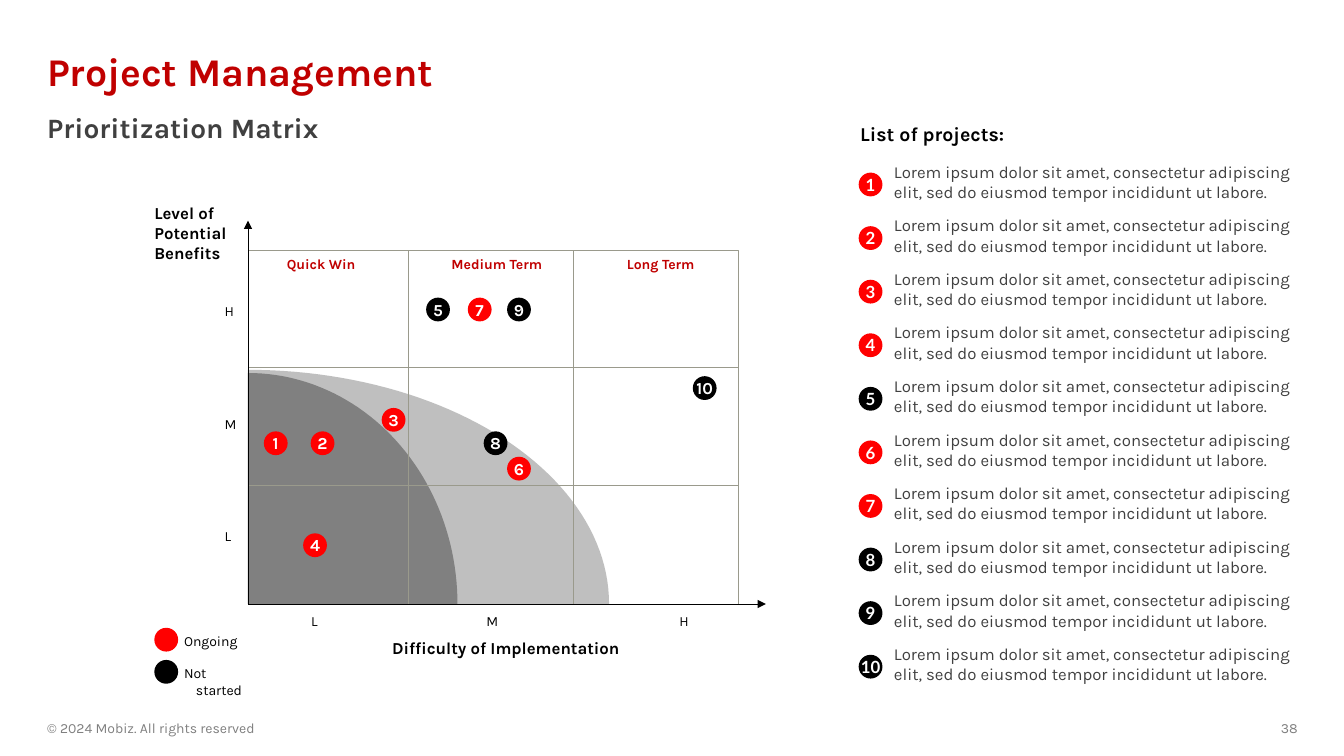
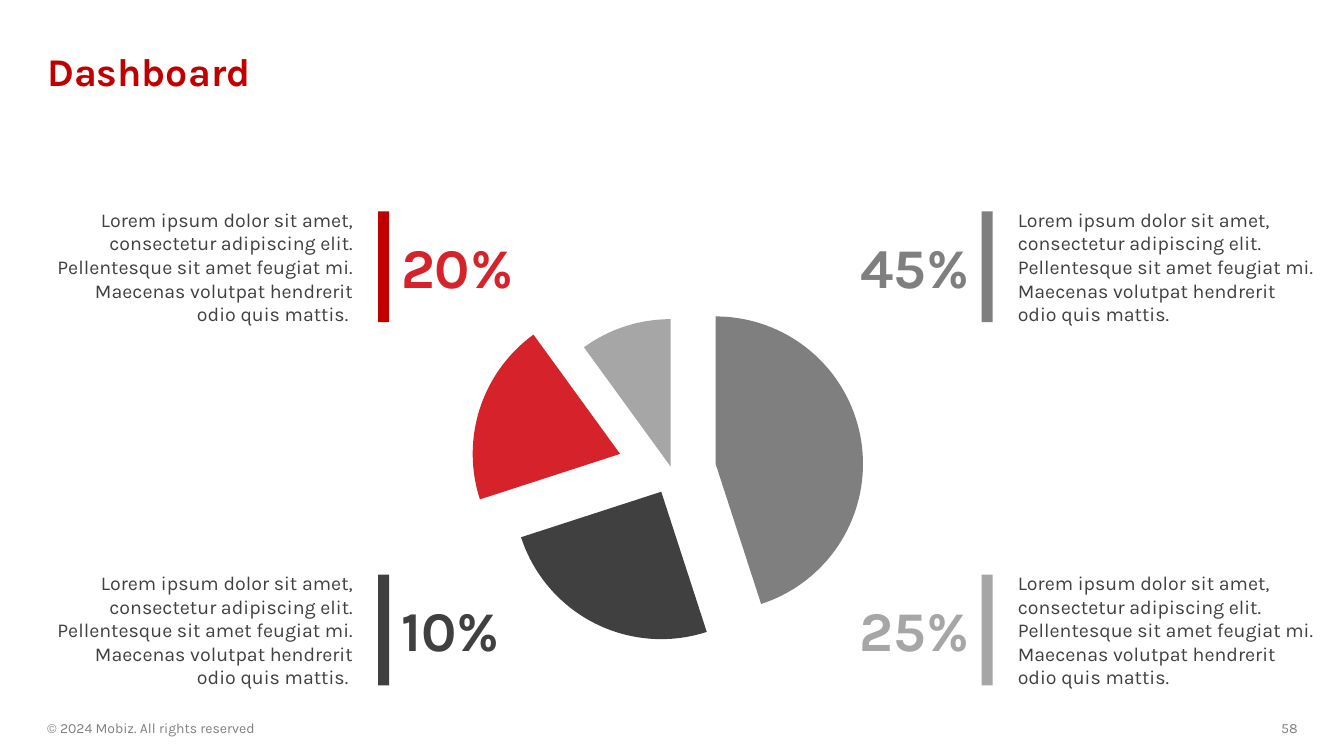
from math import cos, pi, sin

from lxml.etree import SubElement
from pptx import Presentation
from pptx.chart.data import CategoryChartData
from pptx.dml.color import RGBColor
from pptx.enum.chart import XL_CHART_TYPE
from pptx.enum.shapes import MSO_CONNECTOR, MSO_SHAPE
from pptx.enum.text import MSO_ANCHOR, PP_ALIGN
from pptx.oxml import parse_xml
from pptx.oxml.ns import nsdecls, qn
from pptx.util import Cm, Pt

CRIMSON = RGBColor(0xC0, 0x00, 0x00)
RED = RGBColor(0xFF, 0x00, 0x00)
ROSE = RGBColor(0xD6, 0x22, 0x2B)
BLACK = RGBColor(0x00, 0x00, 0x00)
WHITE = RGBColor(0xFF, 0xFF, 0xFF)
DARK = RGBColor(0x40, 0x40, 0x40)
MID = RGBColor(0x7F, 0x7F, 0x7F)
GRAY = RGBColor(0x80, 0x80, 0x80)
LIGHT = RGBColor(0xA6, 0xA6, 0xA6)
PALE = RGBColor(0xBF, 0xBF, 0xBF)
GRID = RGBColor(0x9A, 0x9A, 0x8C)

FONT = "Karla"
ALT = "Lato"
LEFT, RIGHT, CENTER = PP_ALIGN.LEFT, PP_ALIGN.RIGHT, PP_ALIGN.CENTER
TOP, MIDDLE = MSO_ANCHOR.TOP, MSO_ANCHOR.MIDDLE
INSET = (0.25, 0.13)
FLUSH = (0, 0)

WAITING = {5, 8, 9, 10}
TASK = ("Lorem ipsum dolor sit amet, consectetur adipiscing elit, "
        "sed do eiusmod tempor incididunt ut labore.")
BLURB = ("Lorem ipsum dolor sit amet, consectetur adipiscing elit. "
         "Pellentesque sit amet feugiat mi. Maecenas volutpat hendrerit "
         "odio quis mattis.")


def write(shape, text, size, color, bold=False, align=LEFT, anchor=TOP,
          inset=INSET, font=FONT, wrap=True, lead=None, hang=0):
    """Fill the text frame of a shape with one run."""
    frame = shape.text_frame
    frame.word_wrap = wrap
    frame.vertical_anchor = anchor
    frame.margin_left = frame.margin_right = Cm(inset[0])
    frame.margin_top = frame.margin_bottom = Cm(inset[1])
    para = frame.paragraphs[0]
    para.alignment = align
    if lead:
        para.line_spacing = lead
    if hang:
        props = para._p.get_or_add_pPr()
        props.set("marL", str(Cm(hang)))
        props.set("indent", str(-Cm(hang)))
    run = para.add_run()
    run.text = text
    run.font.name = font
    run.font.size = Pt(size)
    run.font.bold = bold
    run.font.color.rgb = color


def label(slide, box, text, size, color, **style):
    shape = slide.shapes.add_textbox(*map(Cm, box))
    write(shape, text, size, color, **style)


def paint(shape, fill=None, edge=None):
    shape.shadow.inherit = False
    if fill is None:
        shape.fill.background()
    else:
        shape.fill.solid()
        shape.fill.fore_color.rgb = fill
    if edge is None:
        shape.line.fill.background()
    else:
        shape.line.color.rgb = edge
        shape.line.width = Pt(0.5)


def block(slide, kind, box, fill=None, edge=None):
    shape = slide.shapes.add_shape(kind, *map(Cm, box))
    paint(shape, fill, edge)
    return shape


def dot(slide, x, y, fill):
    return block(slide, MSO_SHAPE.OVAL, (x, y, 0.6, 0.6), fill)


def badge(slide, x, y, num, font=FONT):
    """Draw a numbered dot, coloured by the state of its project."""
    shape = dot(slide, x, y, BLACK if num in WAITING else RED)
    write(shape, str(num), 12, WHITE, bold=True, align=CENTER,
          anchor=MIDDLE, inset=FLUSH, font=font, wrap=False)


def rule(slide, start, end, color, arrow=False):
    line = slide.shapes.add_connector(
        MSO_CONNECTOR.STRAIGHT, *map(Cm, start + end))
    line.line.color.rgb = color
    line.line.width = Pt(0.5)
    if arrow:
        SubElement(line.line._get_or_add_ln(), qn("a:tailEnd"),
                   type="triangle")
    SubElement(line._element.spPr, qn("a:effectLst"))


def fan(slide, x, base, width, height, fill):
    """Draw the upper right quarter of an ellipse centred on (x, base)."""
    steps = 48
    turns = [pi / 2 * i / steps for i in range(steps + 1)]
    arc = [(Cm(x + width * sin(t)), Cm(base - height * cos(t)))
           for t in turns]
    outline = slide.shapes.build_freeform(Cm(x), Cm(base))
    outline.add_line_segments(arc, close=True)
    paint(outline.convert_to_shape(), fill)


def page(deck, title, num):
    slide = deck.slides.add_slide(deck.slide_layouts[6])
    label(slide, (0.94, 1.02, 32, 1.7), title, 28, CRIMSON,
          bold=True, anchor=MIDDLE, lead=0.9)
    label(slide, (0.94, 18.03, 11.43, 0.64),
          "© 2024 Mobiz. All rights reserved", 10, GRAY, anchor=MIDDLE)
    label(slide, (29.85, 18.03, 3.1, 0.64), str(num), 10, GRAY,
          align=RIGHT, anchor=MIDDLE)
    return slide


def tasks(slide):
    label(slide, (21.48, 2.87, 8.66, 0.99), "List of projects:", 14, BLACK,
          bold=True, inset=(0.2, 0.2))
    for i in range(10):
        y = 3.94 + 1.35 * i
        badge(slide, 21.64, y + 0.41, i + 1, ALT)
        label(slide, (22.28, y, 10.74, 1.27), TASK, 12, DARK)


def legend(slide):
    for i, (text, fill) in enumerate([("Ongoing", RED),
                                      ("Not started", BLACK)]):
        y = 15.82 + 0.81 * i
        dot(slide, 3.89, y, fill)
        label(slide, (4.39, y - 0.02, 2.16, 0.69), text, 10, BLACK, hang=0.3)


def matrix(slide):
    x, y, wide, high = 6.25, 6.32, 12.35, 8.9
    end, base = x + wide, y + high
    fan(slide, x, base, 9.1, 5.9, PALE)
    fan(slide, x, base, 5.28, 5.82, GRAY)
    block(slide, MSO_SHAPE.RECTANGLE, (x, y, wide, high), edge=GRID)
    for col in (10.28, 14.45):
        rule(slide, (col, y), (col, base), GRID)
    for row in (9.26, 12.22):
        rule(slide, (x, row), (end, row), GRID)
    rule(slide, (x, base), (19.3, base), BLACK, arrow=True)
    rule(slide, (x, base), (x, 5.56), BLACK, arrow=True)

    for text, across, down in [("L", 7.59, 13.16), ("M", 12.01, 10.34),
                               ("H", 16.87, 7.49)]:
        label(slide, (across, 15.3, 1, 0.69), text, 10, BLACK)
        label(slide, (5.41, down, 1, 0.69), text, 10, BLACK)
    for text, left, width, align in [("Quick Win", 6.98, 2.64, LEFT),
                                     ("Medium Term", 10.4, 3.51, RIGHT),
                                     ("Long Term", 15.55, 2.57, LEFT)]:
        label(slide, (left, y, width, 0.69), text, 10, CRIMSON,
              bold=True, align=align)
    label(slide, (9.88, 16.08, 6.2, 0.51), "Difficulty of Implementation",
          12, BLACK, bold=True, inset=FLUSH)
    label(slide, (3.89, 5.11, 1.95, 1.55), "Level of Potential Benefits",
          12, BLACK, bold=True, inset=FLUSH)

    spots = [(6.65, 10.87), (7.83, 10.87), (9.62, 10.28), (7.64, 13.44),
             (10.74, 7.5), (12.78, 11.51), (11.79, 7.5), (12.19, 10.87),
             (12.78, 7.5), (17.46, 9.48)]
    for num, (left, top) in enumerate(spots, 1):
        badge(slide, left, top, num)


def pie(slide):
    data = CategoryChartData()
    data.categories = ["1", "2", "3", "4"]
    data.add_series("Series 1", (45, 25, 20, 10))
    chart = slide.shapes.add_chart(
        XL_CHART_TYPE.PIE, *map(Cm, (8.86, 6.48, 16.15, 10.77)), data).chart
    chart.has_legend = False
    chart.has_title = False
    chart.font.name = ALT
    chart.font.size = Pt(10)
    chart.font.color.rgb = BLACK
    plot = chart.plots[0]
    plot.vary_by_categories = True
    series = plot.series[0]
    slices = [(MID, 30), (DARK, 16), (ROSE, 37), (LIGHT, 3)]
    for i, (color, gap) in enumerate(slices):
        fill = series.points[i].format.fill
        fill.solid()
        fill.fore_color.rgb = color
    for point, (color, gap) in zip(series._element.findall(qn("c:dPt")),
                                   slices):
        burst = parse_xml(f'<c:explosion {nsdecls("c")} val="{gap}"/>')
        point.find(qn("c:spPr")).addprevious(burst)
    # The plot area holds the closed pie, leaving room for the pulled slices.
    area = chart._chartSpace.chart.plotArea
    for old in area.findall(qn("c:layout")):
        area.remove(old)
    sizes = "".join(f'<c:{tag} val="{val}"/>' for tag, val in [
        ("layoutTarget", "inner"), ("xMode", "edge"), ("yMode", "edge"),
        ("x", 0.27), ("y", 0.15), ("w", 0.46), ("h", 0.7)])
    area.insert(0, parse_xml(
        f'<c:layout {nsdecls("c")}><c:manualLayout>{sizes}'
        '</c:manualLayout></c:layout>'))


def callout(slide, y, share, color, bar, right):
    """Place a percentage, a bar and a blurb on one side of the pie."""
    bar_x, text_x, share_x = (24.74, 25.65, 19.14) if right else (
        9.53, 1.41, 10.11)
    block(slide, MSO_SHAPE.RECTANGLE, (bar_x, y, 0.28, 2.79), bar)
    label(slide, (text_x, y - 0.11, 7.49, 3), BLURB if right else BLURB + " ",
          14, DARK, align=LEFT if right else RIGHT, anchor=MIDDLE,
          inset=FLUSH)
    label(slide, (share_x, y + 0.52, 5.28, 1.7), share, 40, color, bold=True,
          align=RIGHT if right else LEFT, anchor=MIDDLE, inset=FLUSH)


def main():
    deck = Presentation()
    deck.slide_width, deck.slide_height = Cm(33.87), Cm(19.05)

    slide = page(deck, "Project Management", 38)
    label(slide, (0.94, 2.74, 32, 1.19), "Prioritization Matrix", 20, DARK,
          bold=True, lead=0.9)
    tasks(slide)
    legend(slide)
    matrix(slide)

    slide = page(deck, "Dashboard", 58)
    pie(slide)
    high, low = 5.33, 14.48
    callout(slide, high, "45%", MID, MID, right=True)
    callout(slide, low, "25%", LIGHT, LIGHT, right=True)
    callout(slide, high, "20%", ROSE, CRIMSON, right=False)
    callout(slide, low, "10%", DARK, DARK, right=False)
    deck.save("out.pptx")


if __name__ == "__main__":
    main()
